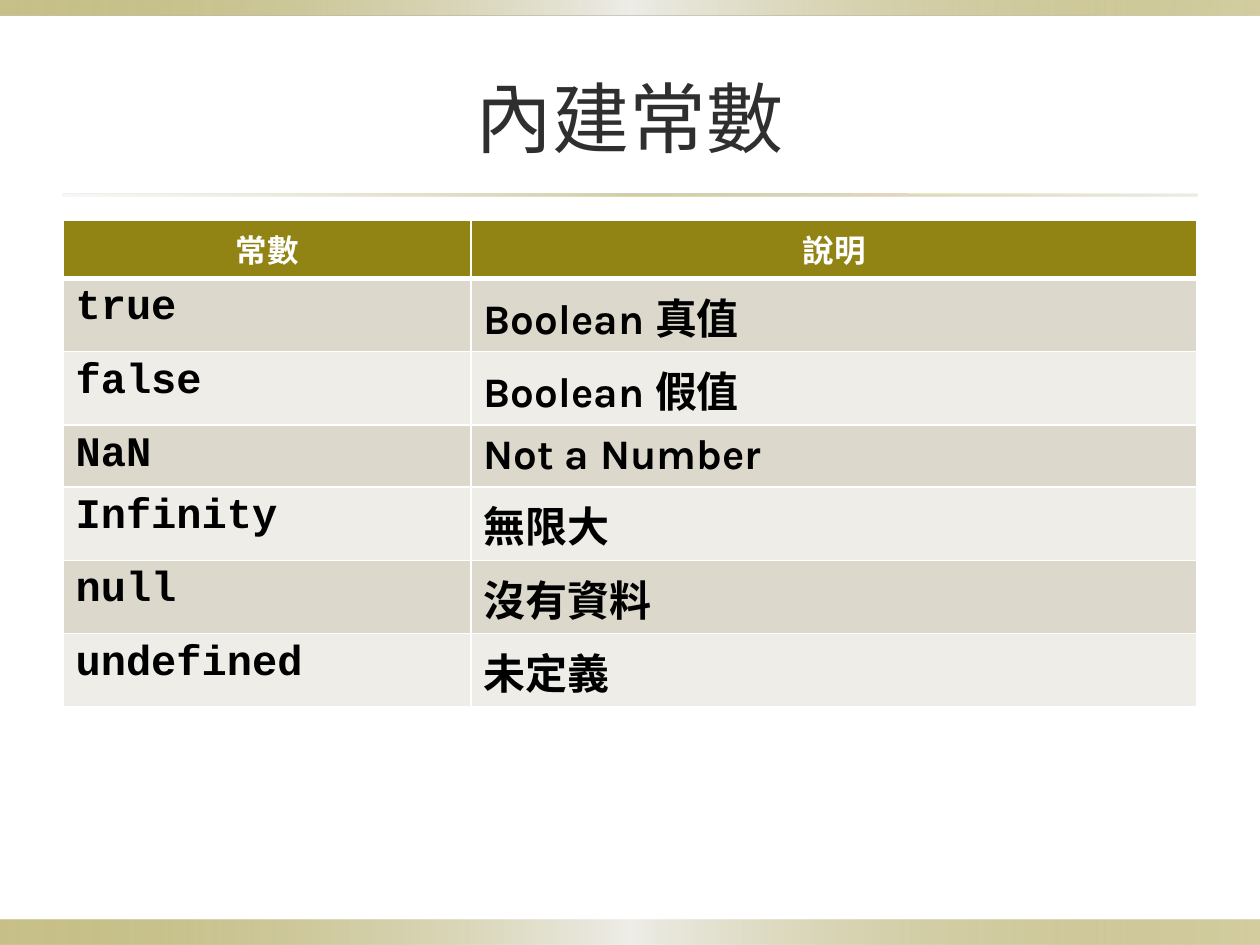
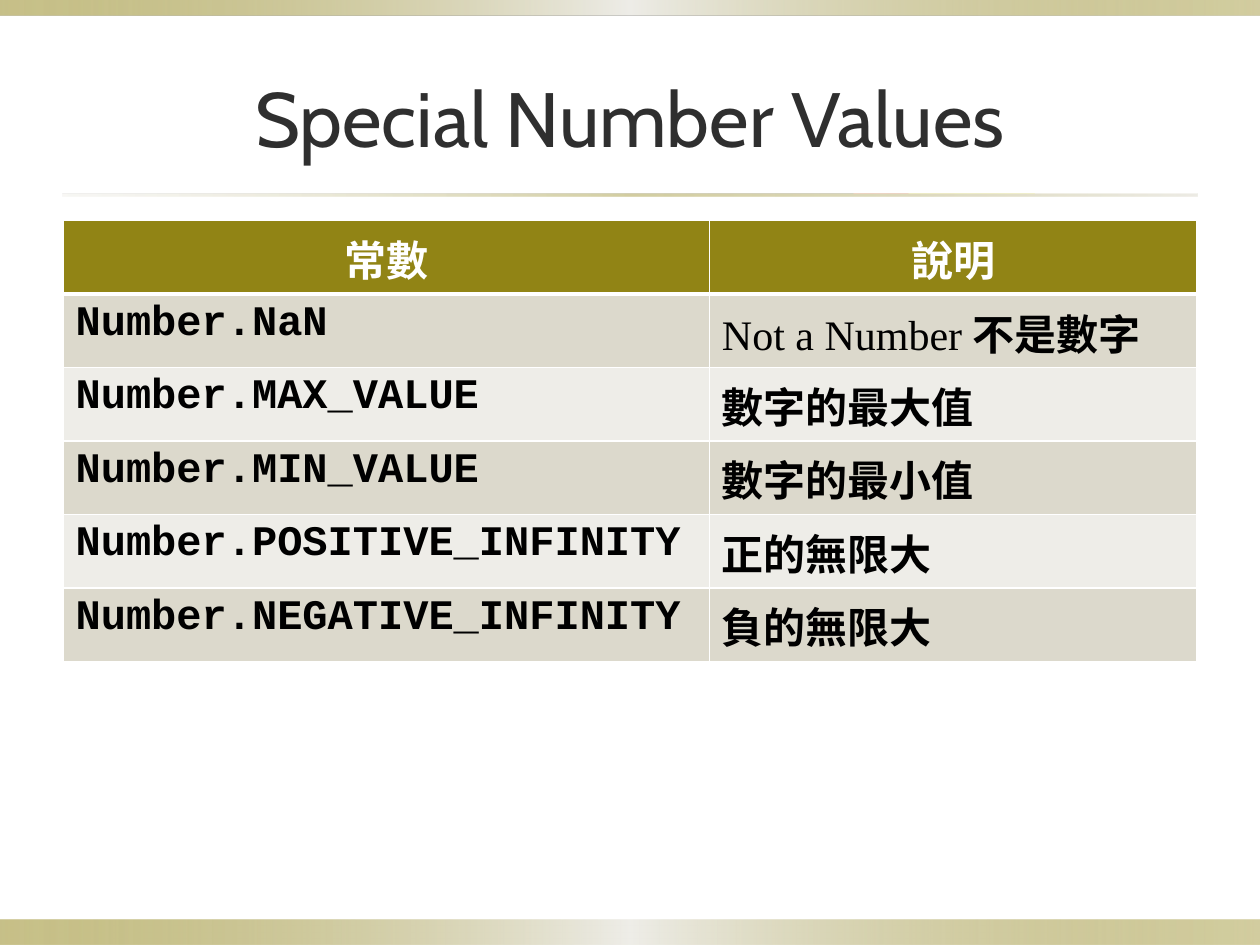
from pptx import Presentation
from pptx.dml.color import RGBColor
from pptx.enum.shapes import MSO_SHAPE
from pptx.enum.text import MSO_ANCHOR, PP_ALIGN
from pptx.oxml import parse_xml
from pptx.oxml.ns import nsdecls, qn
from pptx.util import Inches, Pt
from lxml import etree

RECTANGLE = MSO_SHAPE.RECTANGLE
MIDDLE = MSO_ANCHOR.MIDDLE
CENTER, LEFT = PP_ALIGN.CENTER, PP_ALIGN.LEFT

OLIVE = RGBColor(0x91, 0x84, 0x15)
SAND = RGBColor(0xDC, 0xD9, 0xCC)
PALE = RGBColor(0xEE, 0xED, 0xE8)
CHARCOAL = RGBColor(0x2F, 0x2F, 0x2F)
WHITE = RGBColor(0xFF, 0xFF, 0xFF)
BLACK = RGBColor(0, 0, 0)

HEADING_FONT, CODE_FONT = "Cabin", "Courier New"
BODY_FONT, SERIF_FONT = "Karla", "Times New Roman"

BAND_STOPS = [(0, OLIVE, 50), (50, PALE, 100), (100, OLIVE, 40)]
RULE_STOPS = [(0, SAND, 20), (50, OLIVE, 40), (100, SAND, 50)]
DECORATIONS = [
    ((0, 7.3, 10, 0.2), BAND_STOPS),
    ((0, 0, 10, 0.12), BAND_STOPS),
    ((0.5, 1.54, 9, 0.02), RULE_STOPS),
]
TITLE_BOX = (0.5, 0.3, 9, 1.25)
TABLE_LEFT, TABLE_TOP = 0.5, 1.75
HEADER_HEIGHTS = {18: Pt(33), 24: Pt(42)}
HEADER_MARGINS = {18: Inches(0.09), 24: Inches(0.12)}
LATIN_HEIGHT, CHINESE_HEIGHT = Pt(35), Pt(42)
CHINESE_MARGIN = Inches(0.14)

HEADER = ("常數", "說明")
BUILT_IN_ROWS = [
    ("true", "Boolean 真值"),
    ("false", "Boolean 假值"),
    ("NaN", "Not a Number"),
    ("Infinity", "無限大"),
    ("null", "沒有資料"),
    ("undefined", "未定義"),
]
NUMBER_ROWS = [
    ("Number.NaN", [("Not a Number ", SERIF_FONT, False), ("不是數字", BODY_FONT, True)]),
    ("Number.MAX_VALUE", "數字的最大值"),
    ("Number.MIN_VALUE", "數字的最小值"),
    ("Number.POSITIVE_INFINITY", "正的無限大"),
    ("Number.NEGATIVE_INFINITY", "負的無限大"),
]


def format_span(span, font_name, size, color, bold=False):
    font = span.font
    font.name, font.size, font.bold = font_name, Pt(size), bold
    font.color.rgb = color
    properties = span._r.get_or_add_rPr()
    properties.set("lang", "zh-TW")
    east_asian = etree.Element(qn("a:ea"), typeface=font_name)
    properties.find(qn("a:latin")).addnext(east_asian)


def gradient(stops):
    stop_xml = "".join(
        f'<a:gs pos="{position * 1000}"><a:srgbClr val="{color}">'
        f'<a:alpha val="{opacity * 1000}"/></a:srgbClr></a:gs>'
        for position, color, opacity in stops
    )
    return parse_xml(
        f'<a:gradFill {nsdecls("a")} rotWithShape="1"><a:gsLst>{stop_xml}</a:gsLst>'
        '<a:lin ang="0" scaled="0"/></a:gradFill>'
    )


def decorate_master(master, page):
    for index, (box, stops) in enumerate(DECORATIONS):
        band = page.shapes.add_shape(RECTANGLE, *map(Inches, box))
        band.shadow.inherit = False
        band.line.fill.background()
        band.fill.background()
        properties = band.element.spPr
        properties.replace(properties.find(qn("a:noFill")), gradient(stops))
        band.element.nvSpPr.cNvPr.set("id", str(100 + index))
        master.shapes.element.insert(2 + index, band.element)


def add_title(page, box, text):
    title = page.shapes.title
    title.left, title.top, title.width, title.height = map(Inches, box)
    title.text_frame.text = text
    title.text_frame.vertical_anchor = MIDDLE
    para = title.text_frame.paragraphs[0]
    para.alignment = CENTER
    format_span(para.runs[0], HEADING_FONT, 44, CHARCOAL)


def set_borders(cell, top, bottom):
    properties = cell._tc.get_or_add_tcPr()
    for side, width in (("L", 1), ("R", 1), ("T", top), ("B", bottom)):
        properties.append(parse_xml(
            f'<a:ln{side} {nsdecls("a")} w="{Pt(width)}"><a:solidFill>'
            f'<a:srgbClr val="{WHITE}"/></a:solidFill></a:ln{side}>'
        ))


def fill_cell(cell, content, font_name, size, color, alignment):
    pieces = [(content, font_name, True)] if isinstance(content, str) else content
    para = cell.text_frame.paragraphs[0]
    para.alignment = alignment
    for text, piece_font, bold in pieces:
        span = para.add_run()
        span.text = text
        format_span(span, piece_font, size, color, bold)


def add_constant_table(page, left, top, column_widths, rows, header_size):
    lines = [HEADER] + rows
    heights = [HEADER_HEIGHTS[header_size]] + [
        LATIN_HEIGHT if str(meaning).isascii() else CHINESE_HEIGHT for _, meaning in rows
    ]
    frame = page.shapes.add_table(
        len(lines), len(HEADER), Inches(left), Inches(top),
        Inches(sum(column_widths)), sum(heights),
    )
    table = frame.table
    table.horz_banding = False
    for column, width in zip(table.columns, column_widths):
        column.width = Inches(width)
    for row_index, line in enumerate(lines):
        table.rows[row_index].height = heights[row_index]
        is_header = row_index == 0
        fill_color = OLIVE if is_header else (PALE, SAND)[row_index % 2]
        for column_index, content in enumerate(line):
            cell = table.cell(row_index, column_index)
            if is_header:
                fill_cell(cell, content, HEADING_FONT, header_size, WHITE, CENTER)
                cell.margin_top = HEADER_MARGINS[header_size]
            else:
                font_name = (CODE_FONT, BODY_FONT)[column_index]
                fill_cell(cell, content, font_name, 24, BLACK, LEFT)
                if not str(content).isascii():
                    cell.margin_top = CHINESE_MARGIN
            set_borders(cell, 3 if row_index == 1 else 1, 3 if is_header else 1)
            cell.fill.solid()
            cell.fill.fore_color.rgb = fill_color


def add_table_page(deck, title, column_widths, rows, header_size):
    page = deck.slides.add_slide(deck.slide_layouts.get_by_name("Title Only"))
    add_title(page, TITLE_BOX, title)
    add_constant_table(page, TABLE_LEFT, TABLE_TOP, column_widths, rows, header_size)
    return page


def main():
    deck = Presentation()
    deck.slide_width, deck.slide_height = Inches(10), Inches(7.5)
    background = deck.slide_master.background.fill
    background.solid()
    background.fore_color.rgb = WHITE
    first_page = add_table_page(deck, "內建常數", (3.24, 5.76), BUILT_IN_ROWS, 18)
    decorate_master(deck.slide_master, first_page)
    add_table_page(deck, "Special Number Values", (5.13, 3.87), NUMBER_ROWS, 24)
    deck.save("out.pptx")


if __name__ == "__main__":
    main()
